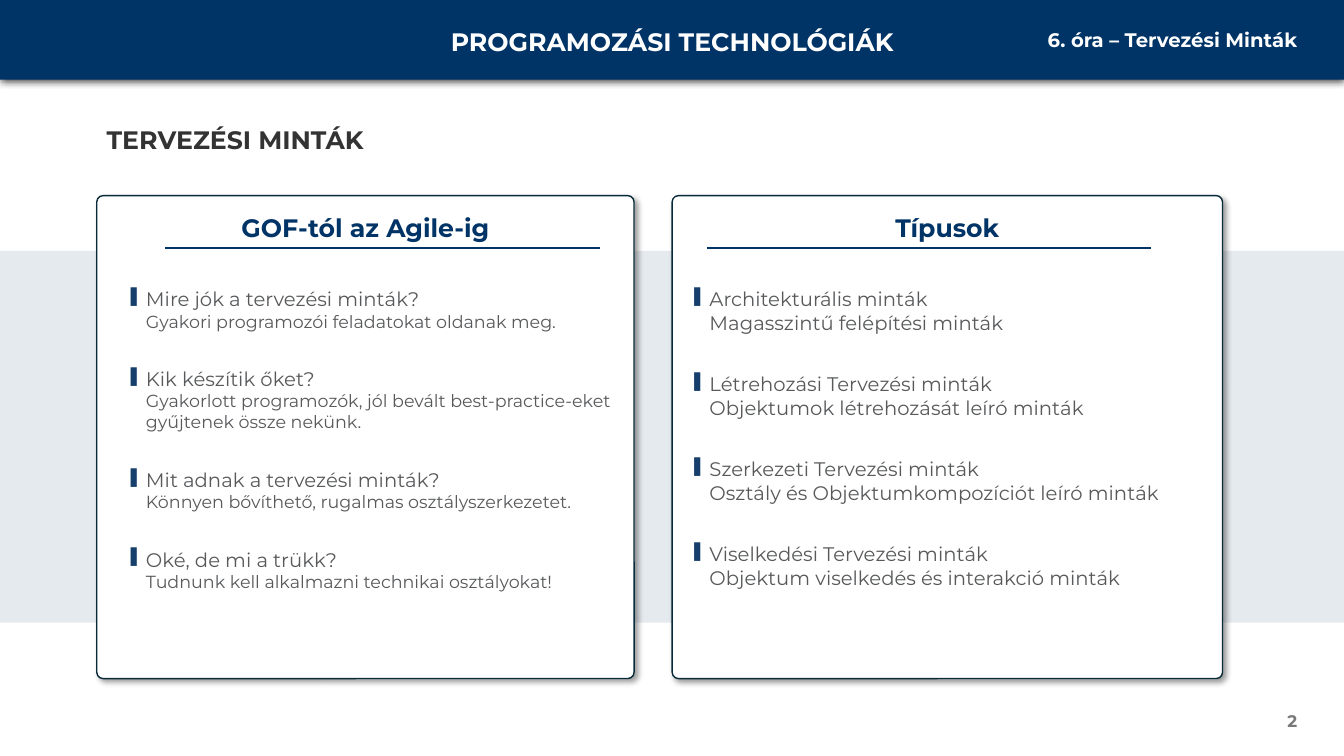
from copy import deepcopy
from dataclasses import dataclass

from lxml.etree import SubElement
from pptx import Presentation
from pptx.dml.color import RGBColor
from pptx.enum.shapes import MSO_CONNECTOR, MSO_SHAPE
from pptx.enum.text import MSO_ANCHOR, PP_ALIGN
from pptx.oxml.ns import qn
from pptx.shapes.autoshape import Shape
from pptx.util import Cm, Pt

FONT = "Montserrat"
NAVY, WHITE, GREY = "003366", "FFFFFF", "58595B"
WIDTH, HEIGHT = 33.87, 19.05
CARD_TOP, CARD_HEIGHT = 4.93, 12.17
BAND_HEIGHT = 9.37


@dataclass
class Shadow:
    alpha: int
    blur: float
    distance: float
    angle: int


@dataclass
class Card:
    left: float
    width: float
    heading: str
    rule: tuple[float, float]
    body_left: float
    body_width: float
    detail_size: float
    gap: float
    items: list[tuple[str, str]]


CARDS = [
    Card(2.44, 13.54, "GOF-tól az Agile-ig", (4.17, 15.11), 3.05, 12.62, 12.5, 25.2, [
        ("Mire jók a tervezési minták?", "Gyakori programozói feladatokat oldanak meg."),
        ("Kik készítik őket?",
         "Gyakorlott programozók, jól bevált best-practice-eket gyűjtenek össze nekünk."),
        ("Mit adnak a tervezési minták?", "Könnyen bővíthető, rugalmas osztályszerkezetet."),
        ("Oké, de mi a trükk?", "Tudnunk kell alkalmazni technikai osztályokat!"),
    ]),
    Card(16.94, 13.87, "Típusok", (17.81, 29.01), 17.25, 12.93, 14, 27.1, [
        ("Architekturális minták", "Magasszintű felépítési minták"),
        ("Létrehozási Tervezési minták", "Objektumok létrehozását leíró minták"),
        ("Szerkezeti Tervezési minták", "Osztály és Objektumkompozíciót leíró minták"),
        ("Viselkedési Tervezési minták", "Objektum viselkedés és interakció minták"),
    ]),
]

prs = Presentation()
prs.slide_width, prs.slide_height = Cm(WIDTH), Cm(HEIGHT)
slide = prs.slides.add_slide(prs.slide_layouts[6])


def rgb(color: str) -> RGBColor:
    return RGBColor.from_string(color)


def add_box(kind: MSO_SHAPE, left: float, top: float, width: float, height: float,
            color: str) -> Shape:
    s = slide.shapes.add_shape(kind, Cm(left), Cm(top), Cm(width), Cm(height))
    s.shadow.inherit = False
    s.fill.solid()
    s.fill.fore_color.rgb = rgb(color)
    s.line.fill.background()
    return s


def set_alpha(color_element, percent: int) -> None:
    SubElement(color_element, qn("a:alpha"), val=str(percent * 1000))


def add_shadow(s: Shape, shadow: Shadow) -> None:
    effects = s._element.spPr.find(qn("a:effectLst"))
    outer = SubElement(effects, qn("a:outerShdw"), blurRad=str(Pt(shadow.blur)),
                       dist=str(Pt(shadow.distance)), dir=str(shadow.angle * 60000),
                       algn="ctr", rotWithShape="0")
    set_alpha(SubElement(outer, qn("a:srgbClr"), val="000000"), shadow.alpha)


def add_frame(left: float, top: float, width: float, height: float):
    tf = slide.shapes.add_textbox(Cm(left), Cm(top), Cm(width), Cm(height)).text_frame
    tf.word_wrap = True
    return tf


def style(r, size: float, color: str, bold: bool = False) -> None:
    r.font.name = FONT
    r.font.size = Pt(size)
    r.font.bold = bold
    r.font.color.rgb = rgb(color)


def add_label(text: str, left: float, top: float, width: float, height: float, size: float,
              color: str, align: PP_ALIGN, anchor: MSO_ANCHOR = MSO_ANCHOR.TOP) -> None:
    tf = add_frame(left, top, width, height)
    tf.text = text
    tf.vertical_anchor = anchor
    p = tf.paragraphs[0]
    p.alignment = align
    style(p.runs[0], size, color, True)


def add_bullet(p) -> None:
    pPr = p._p.get_or_add_pPr()
    pPr.set("marL", str(Cm(0.38)))
    pPr.set("indent", str(-Cm(0.38)))
    SubElement(SubElement(pPr, qn("a:buClr")), qn("a:srgbClr"), val="173F6C")
    SubElement(pPr, qn("a:buSzPct"), val="80000")
    SubElement(pPr, qn("a:buChar"), char="▌")


def add_card(card: Card) -> None:
    # Panel
    s = add_box(MSO_SHAPE.ROUNDED_RECTANGLE, card.left, CARD_TOP, card.width, CARD_HEIGHT, WHITE)
    s.adjustments[0] = 0.013
    s.line.color.rgb = rgb("092A39")
    s.line.width = Pt(1)
    add_shadow(s, Shadow(40, 4, 3, 45))

    # Heading and its rule
    add_label(card.heading, card.left, 5.23, card.width, 1.02, 18, NAVY, PP_ALIGN.CENTER)
    start, end = card.rule
    rule = slide.shapes.add_connector(MSO_CONNECTOR.STRAIGHT, Cm(start), Cm(6.25),
                                      Cm(end), Cm(6.25))
    rule.line.color.rgb = rgb(NAVY)
    rule.line.width = Pt(1.5)
    SubElement(rule._element.spPr, qn("a:effectLst"))

    # Bulleted items: a lead line and a detail line
    tf = add_frame(card.body_left, 7.11, card.body_width, BAND_HEIGHT)
    for i, (lead, detail) in enumerate(card.items):
        p = tf.add_paragraph() if i else tf.paragraphs[0]
        p.text = f"{lead}\v{detail}"
        add_bullet(p)
        if i:
            p.space_before = Pt(card.gap)
        for r, size in zip(p.runs, (14, card.detail_size)):
            style(r, size, GREY)
        p._p.find(qn("a:br")).append(deepcopy(p.runs[0]._r.rPr))


# Background band
band = add_box(MSO_SHAPE.RECTANGLE, 0, 6.32, WIDTH, BAND_HEIGHT, NAVY)
set_alpha(band._element.spPr.find(qn("a:solidFill"))[0], 10)

# Header bar
header = add_box(MSO_SHAPE.RECTANGLE, 0, 0, WIDTH, 2.01, NAVY)
add_shadow(header, Shadow(80, 6, 0, 90))
add_label("PROGRAMOZÁSI TECHNOLÓGIÁK", 10.31, 0.53, 13.26, 1.02, 18, WHITE, PP_ALIGN.CENTER)
add_label("6. óra – Tervezési Minták", 24.36, 0.58, 8.59, 0.86, 14, WHITE, PP_ALIGN.RIGHT)

# Section title and cards
add_label("TERVEZÉSI MINTÁK", 2.44, 3.02, 9.04, 1.02, 18, "333333", PP_ALIGN.LEFT)
for card in CARDS:
    add_card(card)

# Page number
add_label("2", 25.32, 17.65, 7.62, 1.02, 12, "797979", PP_ALIGN.RIGHT, MSO_ANCHOR.MIDDLE)

prs.save("out.pptx")
